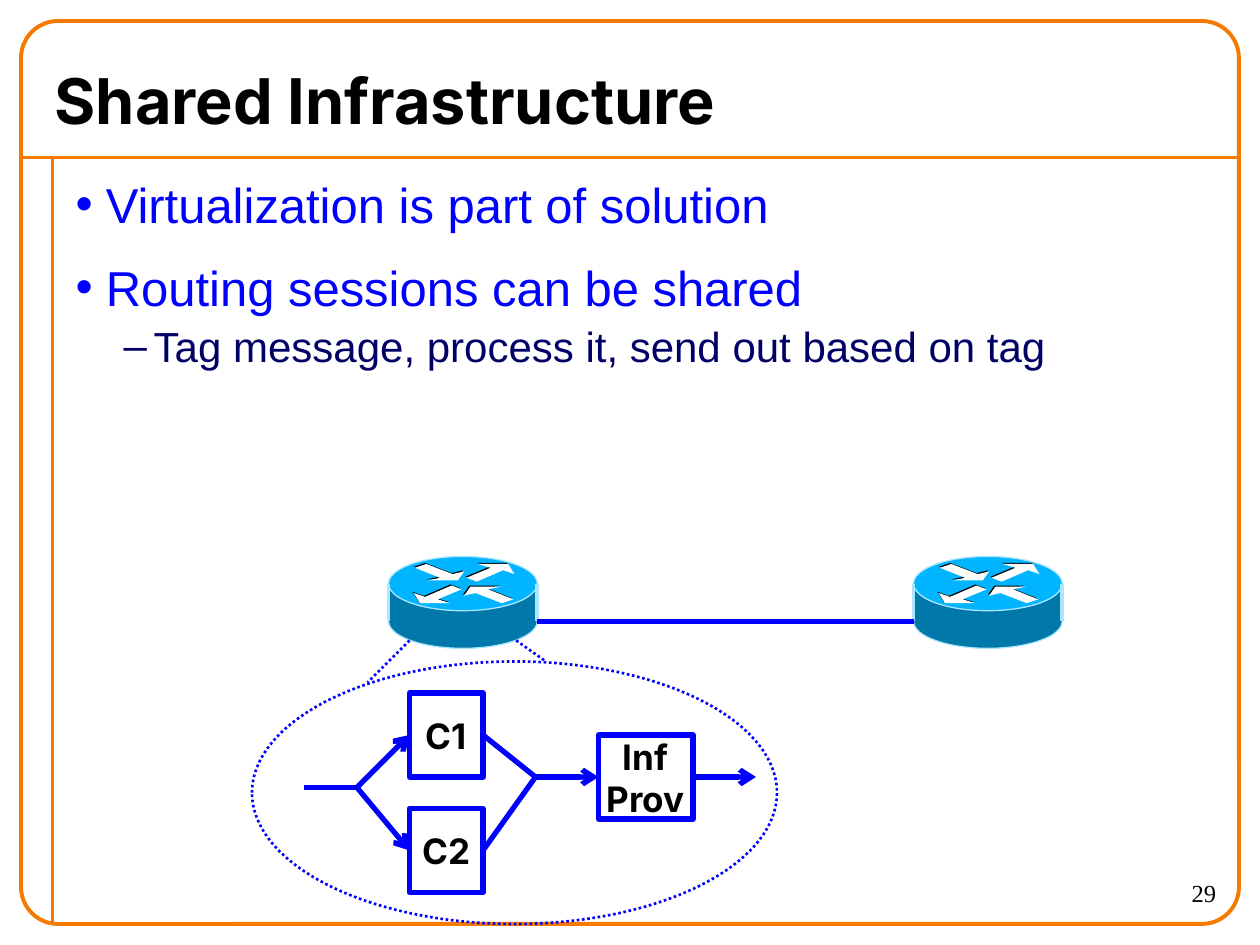
from dataclasses import dataclass

from lxml import etree
from pptx import Presentation
from pptx.dml.color import RGBColor
from pptx.enum import dml, shapes, text
from pptx.oxml import ns
from pptx.util import Pt


@dataclass(frozen=True)
class Theme:
    """Colours, fonts and sizes of the deck."""
    frame: str = "F47A00"
    ink: str = "000000"
    blue: str = "0000FF"
    navy: str = "000066"
    side: str = "0078AA"
    top: str = "00B4FF"
    rim: str = "AAE6FF"
    white: str = "FFFFFF"
    heading: str = "Inter"
    body: str = "Arial"
    number: str = "Times New Roman"
    title_size: int = 36
    item_size: int = 28
    subitem_size: int = 24
    label_size: int = 20
    number_size: int = 14
    thick: float = 3
    medium: float = 2.25
    thin: float = 1.5


THEME = Theme()
SHAPE = shapes.MSO_SHAPE
DOTTED = dml.MSO_LINE.ROUND_DOT


def add_xml(parent, tag, **attributes):
    """Append a DrawingML element and return it."""
    return etree.SubElement(parent, ns.qn(tag), attributes)


def write(para, content, *, font, size, color, bold=False, align=None):
    """Put one formatted span in a paragraph."""
    para.alignment = align
    span = para.add_run()
    span.text = content
    span.font.name, span.font.size, span.font.bold = font, Pt(size), bold
    span.font.color.rgb = RGBColor.from_string(color)


def style_line(line, color, width, dash=None):
    """Set the colour, width and dash of a line."""
    line.color.rgb = RGBColor.from_string(color)
    line.width = Pt(width)
    if dash is not None:
        line.dash_style = dash


def style_shape(shape, fill=None, line=None, width=0, dash=None):
    """Set the fill and outline of a shape without a shadow."""
    shape.shadow.inherit = False
    if fill:
        shape.fill.solid()
        shape.fill.fore_color.rgb = RGBColor.from_string(fill)
    else:
        shape.fill.background()
    if line:
        style_line(shape.line, line, width, dash)
    else:
        shape.line.fill.background()
    return shape


def add_shape(parent, kind, box, **style):
    """Add a styled preset shape in a box of points."""
    return style_shape(parent.shapes.add_shape(kind, *map(Pt, box)), **style)


def add_line(parent, start, end, color, width, dash=None, arrow=False):
    """Add a straight connector, with an arrowhead on request."""
    link = parent.shapes.add_connector(
        shapes.MSO_CONNECTOR.STRAIGHT, *map(Pt, (*start, *end)))
    style_line(link.line, color, width, dash)
    if arrow:
        add_xml(link.line._get_or_add_ln(), "a:tailEnd", type="arrow")
    add_xml(link._element.spPr, "a:effectLst")


def add_frame(page, box):
    """Draw the rounded page frame and its two rules."""
    left, top, width, height = box
    rule, margin = top + 78, left + 18
    style = (THEME.frame, THEME.medium)
    add_line(page, (left, rule), (left + width, rule), *style)
    add_line(page, (margin, rule), (margin, top + height), *style)
    border = add_shape(page, SHAPE.ROUNDED_RECTANGLE, box,
                       line=THEME.frame, width=THEME.medium)
    border.adjustments[0] = 0.041


def place(holder, box):
    """Move a placeholder to a box and return its text frame."""
    holder.left, holder.top, holder.width, holder.height = map(Pt, box)
    frame = holder.text_frame
    frame.auto_size = text.MSO_AUTO_SIZE.NONE
    return frame


def add_title(page, box, content):
    """Fill the title placeholder."""
    frame = place(page.shapes.title, box)
    frame.vertical_anchor = text.MSO_ANCHOR.MIDDLE
    write(frame.paragraphs[0], content, font=THEME.heading, bold=True,
          size=THEME.title_size, color=THEME.ink, align=text.PP_ALIGN.LEFT)


def add_list(page, box, items):
    """Fill the body placeholder with (level, text) items."""
    levels = (("•", 17.25, "50000", THEME.item_size, THEME.blue),
              ("–", 44.64, "10000", THEME.subitem_size, THEME.navy))
    frame = place(page.placeholders[1], box)
    for index, (level, content) in enumerate(items):
        bullet, margin, space, size, color = levels[level]
        para = frame.add_paragraph() if index else frame.paragraphs[0]
        para.level = level
        write(para, content, font=THEME.body, size=size, color=color)
        props = para._p.get_or_add_pPr()
        props.set("marL", str(Pt(margin)))
        props.set("indent", str(Pt(-17.25)))
        add_xml(add_xml(props, "a:spcBef"), "a:spcPct", val=space)
        add_xml(props, "a:buFont", typeface=THEME.body)
        add_xml(props, "a:buChar", char=bullet)


def add_arrow_mark(group, points, color):
    """Draw one filled arrow outline."""
    start, *rest = [tuple(map(Pt, point)) for point in points]
    builder = group.shapes.build_freeform(*start)
    builder.add_line_segments(rest, close=True)
    style_shape(builder.convert_to_shape(), fill=color)


def add_router(page, box):
    """Draw a router drum with four arrows and their shadows on top."""
    left, top, width, height = box
    group = page.shapes.add_group_shape()
    cap = 31
    drop = height - cap
    wall, right = top + cap / 2, left + width
    rim = {"line": THEME.rim, "width": 0}
    add_shape(group, SHAPE.OVAL, (left, top + drop, width, cap), fill=THEME.side, **rim)
    add_shape(group, SHAPE.RECTANGLE, (left, wall, width, drop), fill=THEME.side)
    add_shape(group, SHAPE.OVAL, (left, top, width, cap), fill=THEME.top, **rim)
    outward = ((44.6, 12.2), (50.4, 14.4), (65.5, 7.9), (72, 10.1),
               (68.4, 4.3), (51.1, 4.3), (58.3, 6.5))
    inward = ((15.1, 6.5), (21.6, 4.3), (36.7, 10.1), (43.2, 8.6),
              (39.6, 13.7), (22.3, 13.7), (29.5, 12.2))
    marks = [mark for half in (outward, inward)
             for mark in (half, [(86.4 - x, cap - y) for x, y in half])]
    for color, shift in ((THEME.ink, -0.6), (THEME.white, 0)):
        for mark in marks:
            add_arrow_mark(
                group, [(left + x + shift, top + y + shift) for x, y in mark], color)
    for x in (left, right):
        add_line(group, (x, wall), (x, wall + drop), THEME.rim, 0)


def add_node(page, box, *lines):
    """Draw an outlined box with centred label lines."""
    node = add_shape(page, SHAPE.RECTANGLE, box, line=THEME.blue, width=THEME.thick)
    frame = node.text_frame
    frame.word_wrap = False
    frame.vertical_anchor = text.MSO_ANCHOR.MIDDLE
    for index, content in enumerate(lines):
        para = frame.add_paragraph() if index else frame.paragraphs[0]
        write(para, content, font=THEME.heading, size=THEME.label_size,
              color=THEME.ink, bold=True, align=text.PP_ALIGN.CENTER)


def add_process(page, box):
    """Draw the message flow inside its dotted ellipse."""
    left, top, _, _ = box
    flows = (((60, 72), (90, 42), True), ((60, 72), (90, 108), True),
             ((30, 72), (60, 72), False), ((132, 42), (162, 66), False),
             ((132, 108), (162, 66), False), ((162, 66), (198, 66), True),
             ((252, 66), (288, 66), True))
    add_node(page, (left + 90, top + 18, 42, 48), "C1")
    add_node(page, (left + 90, top + 84, 42, 48), "C2")
    add_node(page, (left + 198, top + 42, 54, 48), "Inf", "Prov")
    for (x1, y1), (x2, y2), arrow in flows:
        add_line(page, (left + x1, top + y1), (left + x2, top + y2),
                 THEME.blue, THEME.thick, arrow=arrow)
    for (x1, y1), (x2, y2) in (((90, -12), (66, 12)), ((151, -12), (168, 0))):
        add_line(page, (left + x1, top + y1), (left + x2, top + y2),
                 THEME.blue, THEME.thin, DOTTED)
    add_shape(page, SHAPE.OVAL, box, line=THEME.blue, width=THEME.thin, dash=DOTTED)


def add_number(page, box, number):
    """Write the page number at the right of its box."""
    frame = page.shapes.add_textbox(*map(Pt, box)).text_frame
    frame.word_wrap = True
    write(frame.paragraphs[0], number, font=THEME.number, size=THEME.number_size,
          color=THEME.ink, align=text.PP_ALIGN.RIGHT)


def main():
    """Build the deck and save it."""
    deck = Presentation()
    deck.slide_width, deck.slide_height = Pt(720), Pt(540)
    page = deck.slides.add_slide(deck.slide_layouts[1])
    add_frame(page, (12, 12, 696, 516))
    add_title(page, (24, 30, 635, 54), "Shared Infrastructure")
    add_list(page, (36, 96, 666, 432), (
        (0, "Virtualization is part of solution"),
        (0, "Routing sessions can be shared"),
        (1, "Tag message, process it, send out based on tag")))
    for left in (222, 522):
        add_router(page, (left, 318, 85, 52.5))
    add_line(page, (307, 355), (522, 355), THEME.blue, THEME.thick)
    add_process(page, (144, 378, 300, 150))
    add_number(page, (630, 498, 72, 30), "29")
    deck.save("out.pptx")


if __name__ == "__main__":
    main()
